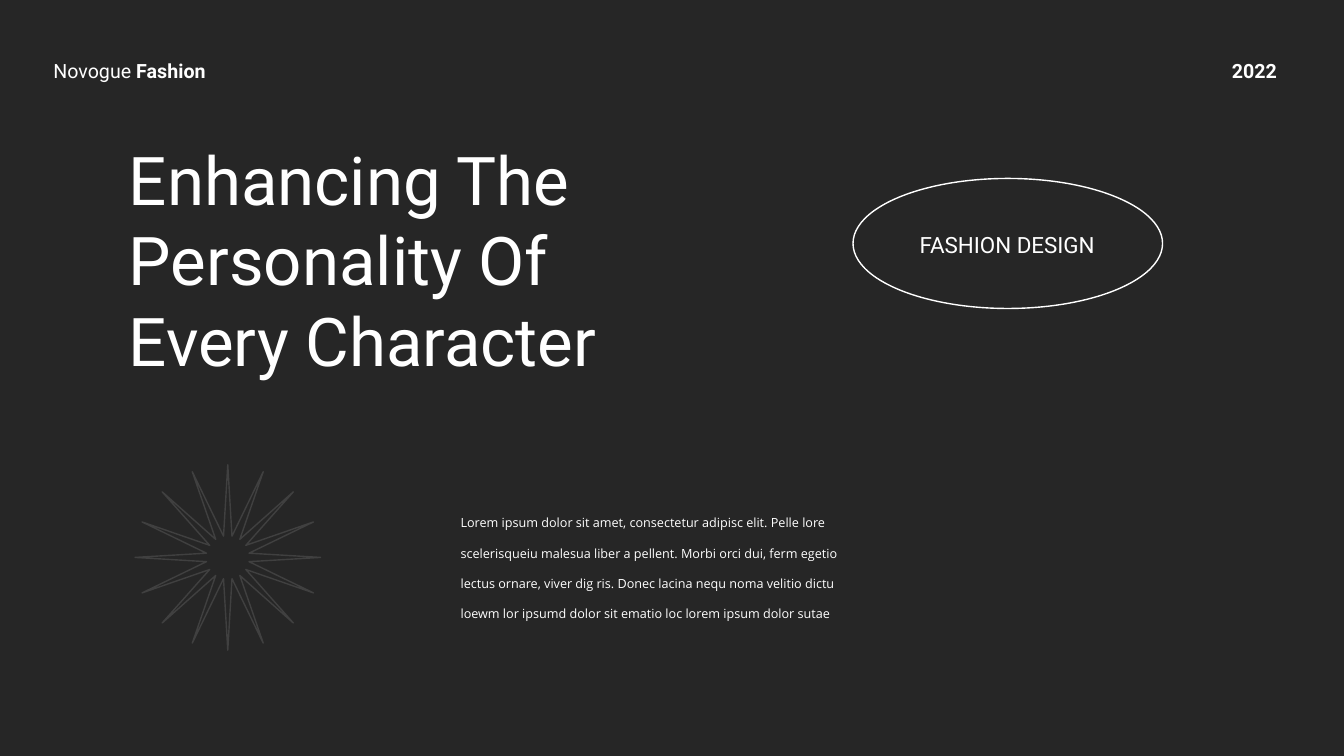
from pptx import Presentation
from pptx.dml.color import RGBColor
from pptx.enum.shapes import MSO_SHAPE
from pptx.enum.text import MSO_AUTO_SIZE, PP_ALIGN
from pptx.util import Inches, Pt


def rgb(color):
    return RGBColor.from_string(color)


class FashionSlide:
    DARK, WHITE, GREY = "262626", "FFFFFF", "404040"
    HEADING, BODY = "Roboto", "Open Sans"

    def __init__(self, prs):
        self.width, self.height = prs.slide_width, prs.slide_height
        self.s = prs.slides.add_slide(prs.slide_layouts[6])
        fill = self.s.background.fill
        fill.solid()
        fill.fore_color.rgb = rgb(self.DARK)

    def place(self, left, top, width, height):
        return (int(self.width * left / 100), int(self.height * top / 100),
                int(self.width * width / 100), int(self.height * height / 100))

    def text(self, box, runs, size, font=HEADING, wrap=True,
             align=PP_ALIGN.LEFT, spacing=1.0):
        tf = self.s.shapes.add_textbox(*self.place(*box)).text_frame
        tf.word_wrap = wrap
        tf.auto_size = MSO_AUTO_SIZE.SHAPE_TO_FIT_TEXT
        p = tf.paragraphs[0]
        p.alignment = align
        p.line_spacing = spacing
        for words, bold in runs:
            r = p.add_run()
            r.text = words
            r.font.name = font
            r.font.size = Pt(size)
            r.font.bold = bold
            r.font.color.rgb = rgb(self.WHITE)

    def outline(self, kind, box, color):
        sp = self.s.shapes.add_shape(kind, *self.place(*box))
        sp.shadow.inherit = False
        sp.fill.background()
        sp.line.color.rgb = rgb(color)
        sp.line.width = Pt(1)
        return sp


def main():
    prs = Presentation()
    prs.slide_width, prs.slide_height = Inches(13.33), Inches(7.5)
    slide = FashionSlide(prs)

    slide.text((3.23, 7.07, 13.73, 4.53),
               [("Novogue ", False), ("Fashion", True)], 14, wrap=False)
    slide.text((90.92, 7.07, 5.1, 4.53), [("2022", True)], 14, wrap=False)
    slide.text((8.85, 17.6, 42.61, 33.6),
               [("Enhancing The Personality Of Every Character", False)], 48)
    slide.text((33.53, 65.47, 30.08, 16.93),
               [("Lorem ipsum dolor sit amet, consectetur adipisc elit. Pelle lore "
                 "scelerisqueiu malesua liber a pellent. Morbi orci dui, ferm egetio "
                 "lectus ornare, viver dig ris. Donec lacina nequ noma velitio dictu "
                 "loewm lor ipsumd dolor sit ematio loc lorem ipsum dolor sutae", False)],
               9, font=slide.BODY, spacing=2.0)

    slide.outline(MSO_SHAPE.OVAL, (63.47, 23.6, 23.03, 17.2), slide.WHITE)
    slide.text((66.02, 29.87, 17.85, 4.93), [("FASHION DESIGN", False)], 16,
               align=PP_ALIGN.CENTER)

    star = slide.outline(MSO_SHAPE.STAR_16_POINT, (10.05, 61.47, 13.8, 24.53), slide.GREY)
    star.adjustments[0] = 0.117

    prs.save("out.pptx")


if __name__ == "__main__":
    main()
